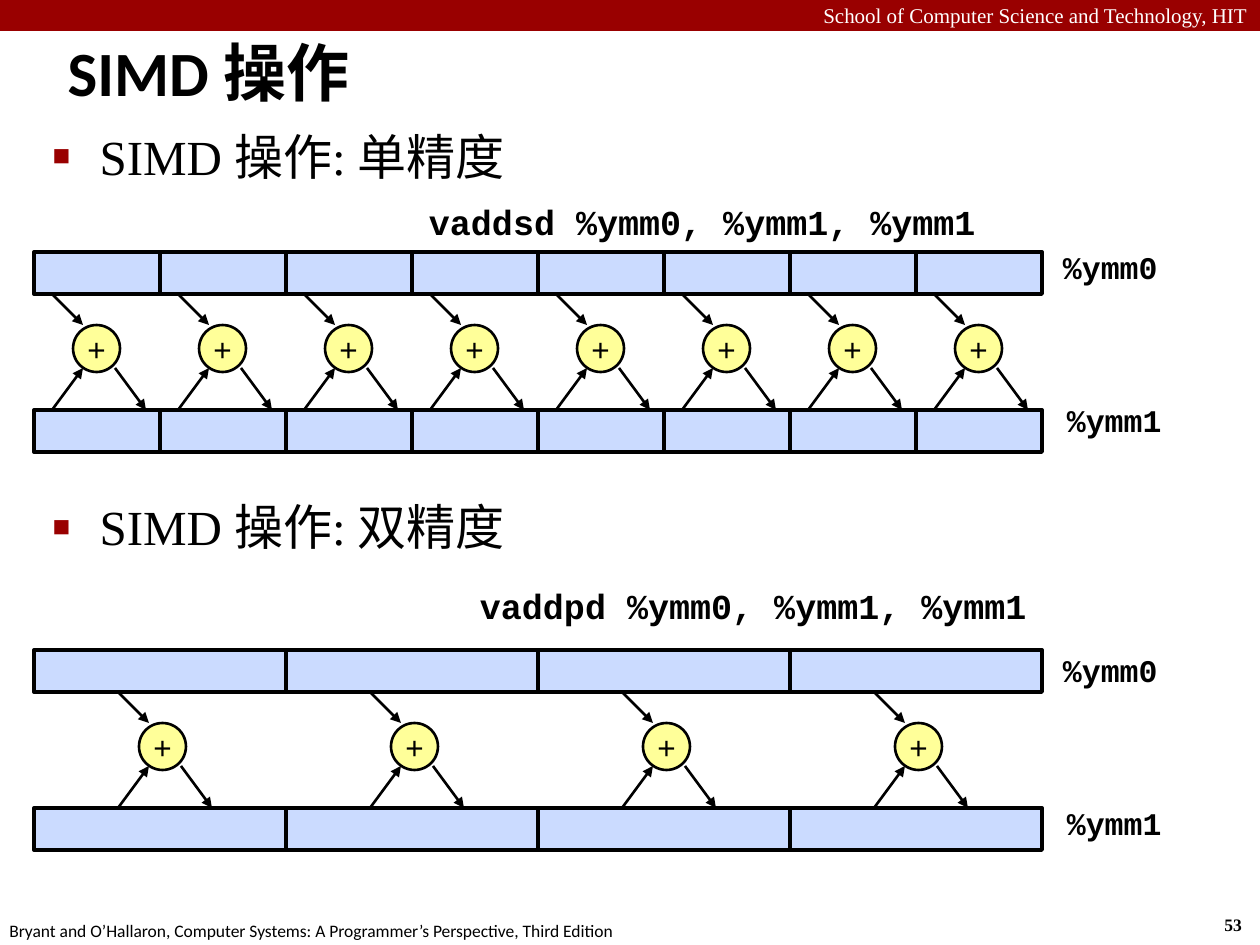
from lxml.etree import SubElement
from pptx import Presentation
from pptx.dml.color import RGBColor
from pptx.enum.shapes import MSO_CONNECTOR, MSO_SHAPE
from pptx.enum.text import MSO_ANCHOR, MSO_AUTO_SIZE, PP_ALIGN
from pptx.oxml.ns import qn
from pptx.util import Emu, Pt

BLACK, WHITE, RED = "000000", "FFFFFF", "990000"
REGISTER_BLUE, ADDER_YELLOW = "CBDBFF", "FFFF99"
SANS, SERIF, MONO = "Calibri", "Times New Roman", "Courier New"


def px(length):
    """Turn pixels at 126 to the inch into EMU."""
    return Emu(round(length * 914400 / 126))


def color(hex_string):
    """Turn a hex string into a colour."""
    return RGBColor.from_string(hex_string)


class SlideBuilder:
    """Holds the style and the current slide."""

    register_left = 34
    register_width = 1008
    register_height = 42
    register_gap = 158
    adder_size = 47

    def __init__(self, presentation):
        """Start a slide with a title and a body."""
        self.slide = presentation.slides.add_slide(presentation.slide_layouts[1])
        self.shapes = self.slide.shapes

    def start_group(self):
        """Put the next elements into a new group."""
        self.shapes = self.slide.shapes.add_group_shape().shapes

    def place(self, shape, left, top, width, height):
        """Move and size a shape."""
        shape.left, shape.top = px(left), px(top)
        shape.width, shape.height = px(width), px(height)

    def format_runs(self, paragraph, font_name, size, font_color=BLACK, bold=False):
        """Format every run of a paragraph."""
        for run in paragraph.runs:
            run.font.name = font_name
            run.font.size = Pt(size)
            run.font.bold = bold
            run.font.color.rgb = color(font_color)

    def set_margins(self, text_frame, margin):
        """Give a text frame the same margin on all sides."""
        text_frame.margin_left = text_frame.margin_right = px(margin)
        text_frame.margin_top = text_frame.margin_bottom = px(margin)

    def title(self, text, *box):
        """Fill the title placeholder."""
        title = self.slide.shapes.title
        self.place(title, *box)
        title.text_frame.text = text
        title.text_frame.auto_size = MSO_AUTO_SIZE.NONE
        title.text_frame.vertical_anchor = MSO_ANCHOR.MIDDLE
        paragraph = title.text_frame.paragraphs[0]
        paragraph.alignment = PP_ALIGN.LEFT
        self.format_runs(paragraph, SANS, 36, bold=True)

    def bullets(self, texts, gap, *box):
        """Fill the body placeholder with spaced bullets."""
        body = self.slide.placeholders[1]
        self.place(body, *box)
        body.text_frame.text = "\n".join(texts)
        body.text_frame.auto_size = MSO_AUTO_SIZE.NONE
        for index, paragraph in enumerate(body.text_frame.paragraphs):
            properties = paragraph._p.get_or_add_pPr()
            properties.set("marL", str(px(47)))
            properties.set("indent", str(-px(47)))
            bullet_color = SubElement(properties, qn("a:buClr"))
            SubElement(bullet_color, qn("a:srgbClr"), val=RED)
            SubElement(properties, qn("a:buSzPct"), val="60000")
            SubElement(properties, qn("a:buChar"), char="■")
            paragraph.space_before = Pt(gap if index else 0)
            self.format_runs(paragraph, SERIF, 28)

    def text(self, text, box, font_name, size, font_color=BLACK, bold=False,
             alignment=PP_ALIGN.LEFT, margin=None):
        """Add a text box."""
        text_frame = self.shapes.add_textbox(*map(px, box)).text_frame
        text_frame.text = text
        text_frame.word_wrap = True
        if margin is not None:
            self.set_margins(text_frame, margin)
        paragraph = text_frame.paragraphs[0]
        paragraph.alignment = alignment
        self.format_runs(paragraph, font_name, size, font_color, bold)

    def shape(self, kind, box, fill, line_width=0):
        """Add a filled preset shape."""
        shape = self.shapes.add_shape(kind, *map(px, box))
        shape.shadow.inherit = False
        shape.fill.solid()
        shape.fill.fore_color.rgb = color(fill)
        if line_width:
            shape.line.color.rgb = color(BLACK)
            shape.line.width = Pt(line_width)
        else:
            shape.line.fill.background()
        return shape

    def arrow(self, *ends):
        """Add a straight arrow from the first point to the second."""
        connector = self.shapes.add_connector(MSO_CONNECTOR.STRAIGHT, *map(px, ends))
        connector.line.color.rgb = color(BLACK)
        connector.line.width = Pt(1.5)
        SubElement(connector.line._get_or_add_ln(), qn("a:tailEnd"), type="triangle")
        SubElement(connector._element.spPr, qn("a:effectLst"))

    def register(self, top, lanes):
        """Add a row of equal register lanes."""
        width = self.register_width // lanes
        for lane in range(lanes):
            box = (self.register_left + lane * width, top, width, self.register_height)
            self.shape(MSO_SHAPE.RECTANGLE, box, REGISTER_BLUE, 2.25)

    def adder(self, left, top):
        """Add a plus circle with its two inputs and its output."""
        circle_top, arrow_foot = top + 31, top + 116
        size = self.adder_size
        circle = self.shape(MSO_SHAPE.OVAL, (left + 21, circle_top, size, size),
                            ADDER_YELLOW, 1.5)
        text_frame = circle.text_frame
        text_frame.text = "+"
        text_frame.word_wrap = False
        text_frame.vertical_anchor = MSO_ANCHOR.MIDDLE
        self.set_margins(text_frame, 6)
        paragraph = text_frame.paragraphs[0]
        paragraph.alignment = PP_ALIGN.CENTER
        self.format_runs(paragraph, MONO, 18)
        middle = circle_top + 43
        self.arrow(left, top, left + 31, circle_top)
        self.arrow(left, arrow_foot, left + 31, middle)
        self.arrow(left + 63, middle, left + 94, arrow_foot)

    def operation(self, command, command_left, command_top, top, lanes,
                  adder_offset, label_top):
        """Add a grouped diagram of one vector operation."""
        self.start_group()
        self.text(command, (command_left, command_top, 564, 55), MONO, 20,
                  bold=True, margin=6)
        self.register(top, lanes)
        self.register(top + self.register_gap, lanes)
        for lane in range(lanes):
            left = self.register_left + lane * self.register_width // lanes
            self.adder(left + adder_offset, top + self.register_height)
        for name, left, drop in (("%ymm0", 1057, 0), ("%ymm1", 1061, 153)):
            self.text(name, (left, label_top + drop, 140, 63), MONO, 18,
                      bold=True, margin=6)


def main():
    """Build the slide and save it."""
    presentation = Presentation()
    presentation.slide_width, presentation.slide_height = px(1260), px(945)
    builder = SlideBuilder(presentation)
    builder.shape(MSO_SHAPE.RECTANGLE, (0, 0, 1260, 31), RED)
    builder.text("School of Computer Science and Technology, HIT",
                 (0, -4, 1260, 38), SERIF, 12, WHITE, alignment=PP_ALIGN.RIGHT)
    builder.text("53", (1212, 908, 47, 34), SERIF, 10, bold=True)
    builder.text("Bryant and O’Hallaron, Computer Systems: "
                 "A Programmer’s Perspective, Third Edition",
                 (-3, 914, 640, 34), SANS, 10)
    builder.title("SIMD 操作", 55, 18, 1201, 107)
    builder.bullets(("SIMD 操作: 单精度", "SIMD 操作: 双精度"), 178,
                    40, 120, 1145, 741)
    builder.operation("vaddpd %ymm0, %ymm1, %ymm1", 474, 578, 650, 4, 84, 645)
    builder.operation("vaddsd %ymm0, %ymm1, %ymm1", 423, 194, 252, 8, 18, 242)
    presentation.save("out.pptx")


if __name__ == "__main__":
    main()
